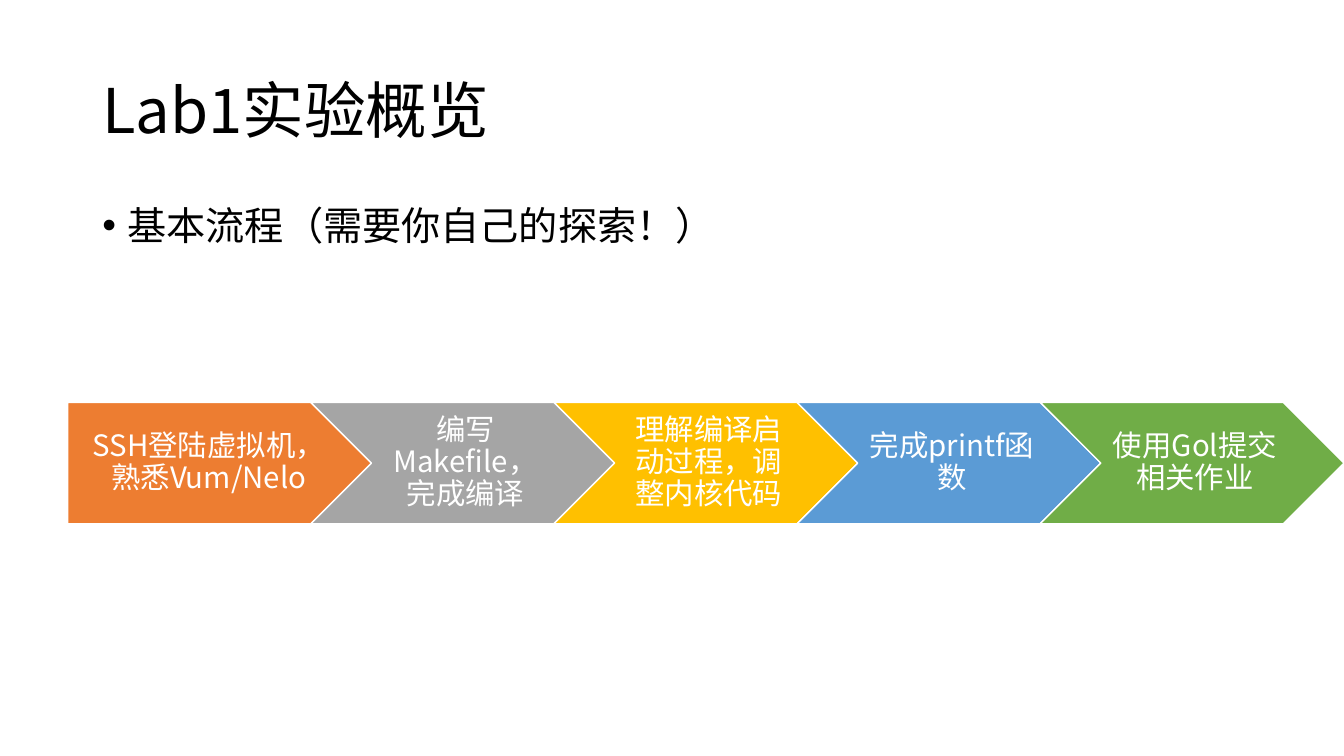
from lxml.etree import SubElement
from pptx import Presentation
from pptx.dml.color import RGBColor
from pptx.enum.shapes import MSO_SHAPE
from pptx.enum.text import MSO_ANCHOR, PP_ALIGN
from pptx.oxml.ns import qn
from pptx.util import Pt

FONT = "Noto Sans CJK SC"
COLORS = {
    "black": "000000",
    "white": "FFFFFF",
    "orange": "ED7D31",
    "gray": "A5A5A5",
    "gold": "FFC000",
    "blue": "5B9BD5",
    "green": "70AD47",
}
STEPS = [
    ("SSH登陆虚拟机，熟悉Vum/Nelo", "orange"),
    ("编写Makefile，完成编译", "gray"),
    ("理解编译启动过程，调整内核代码", "gold"),
    ("完成printf函数", "blue"),
    ("使用Gol提交相关作业", "green"),
]


def color(name):
    return RGBColor.from_string(COLORS[name])


def write(shape, text, size, ink="black", align=PP_ALIGN.LEFT, anchor=MSO_ANCHOR.TOP,
          insets=(7.2, 3.6, 7.2, 3.6), before=0, bullet=None, indent=0):
    frame = shape.text_frame
    frame.word_wrap = True
    frame.vertical_anchor = anchor
    frame.margin_left, frame.margin_top, frame.margin_right, frame.margin_bottom = map(Pt, insets)
    para = frame.paragraphs[0]
    para.alignment = align
    para.line_spacing = 0.9
    para.space_before = Pt(before)
    if bullet:
        properties = para._p.get_or_add_pPr()
        properties.set("marL", str(Pt(indent)))
        properties.set("indent", str(-Pt(indent)))
        SubElement(properties, qn("a:buFont"), typeface="Arial")
        SubElement(properties, qn("a:buChar"), char=bullet)
    span = para.add_run()
    span.text = text
    span.font.size = Pt(size)
    span.font.name = FONT
    span.font.color.rgb = color(ink)
    SubElement(span._r.get_or_add_rPr(), qn("a:ea"), typeface=FONT)


def add_title(page, left, top, width, height):
    box = page.shapes.add_textbox(Pt(left), Pt(top), Pt(width), Pt(height))
    write(box, "Lab1实验概览", size=44, anchor=MSO_ANCHOR.MIDDLE)


def add_body(page, left, top, width, height):
    box = page.shapes.add_textbox(Pt(left), Pt(top), Pt(width), Pt(height))
    write(box, "基本流程（需要你自己的探索！）", size=28, before=10, bullet="•", indent=18)


def add_process(page, left, top, width, height):
    pitch = (width - height / 2) / len(STEPS)
    step_width = pitch + height / 2
    for index, (text, fill) in enumerate(STEPS):
        kind = MSO_SHAPE.CHEVRON if index else MSO_SHAPE.PENTAGON
        arrow = page.shapes.add_shape(
            kind, Pt(left + index * pitch), Pt(top), Pt(step_width), Pt(height))
        arrow.shadow.inherit = False
        arrow.fill.solid()
        arrow.fill.fore_color.rgb = color(fill)
        arrow.line.color.rgb = color("white")
        arrow.line.width = Pt(1)
        inset_left = 6.3 if index else 8.4
        write(arrow, text, size=21, ink="white", align=PP_ALIGN.CENTER,
              anchor=MSO_ANCHOR.MIDDLE, insets=(inset_left, 4.2, 2.1, 4.2))


deck = Presentation()
deck.slide_width, deck.slide_height = Pt(960), Pt(540)
page = deck.slides.add_slide(deck.slide_layouts[6])
add_title(page, left=66, top=28.75, width=828, height=104.4)
add_body(page, left=66, top=143.75, width=828, height=342.6)
add_process(page, left=48.3, top=287.4, width=911.7, height=86.8)
deck.save("out.pptx")
